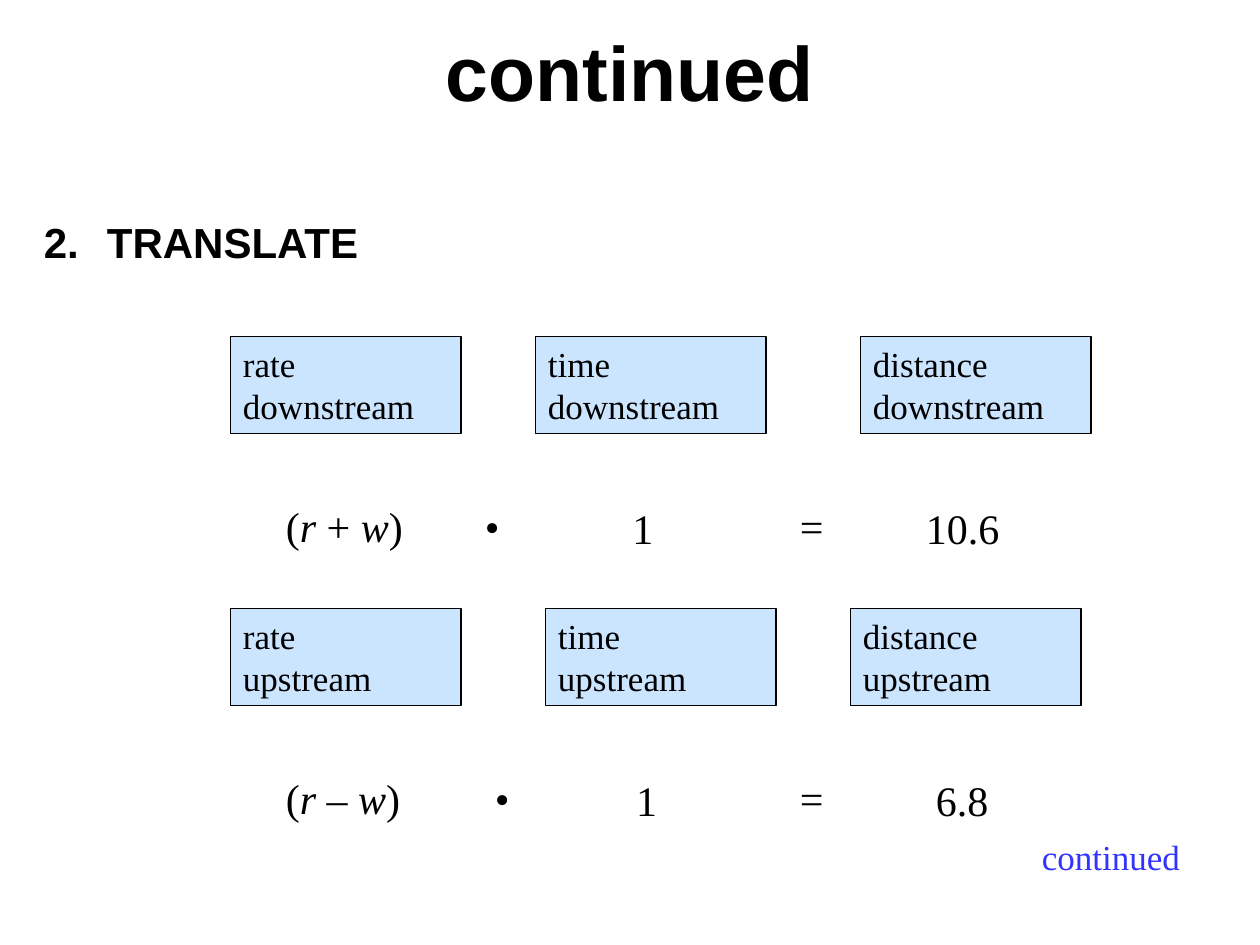
from pptx import Presentation
from pptx.dml.color import RGBColor
from pptx.enum.shapes import MSO_SHAPE
from pptx.enum.text import MSO_ANCHOR, PP_ALIGN
from pptx.util import Inches, Pt

SERIF, SANS = "Times New Roman", "Arial"


def rgb(value):
    return RGBColor.from_string(value)


def style(p, size, font=SERIF, color="000000", bold=False):
    for r in p.runs:
        r.font.size, r.font.name, r.font.bold = Pt(size), font, bold
        r.font.color.rgb = rgb(color)


def place(shape, left, top, width, height):
    shape.left, shape.top = Inches(left), Inches(top)
    shape.width, shape.height = Inches(width), Inches(height)


def add_title(s, text, box):
    title = s.shapes.title
    place(title, *box)
    tf = title.text_frame
    tf.text = text
    tf.vertical_anchor = MSO_ANCHOR.MIDDLE
    tf.paragraphs[0].alignment = PP_ALIGN.CENTER
    style(tf.paragraphs[0], 44, SANS, bold=True)


def add_text(s, parts, box, size=24, wrap=True, **look):
    """Add a one-line text box; parts at odd positions are italic."""
    tf = s.shapes.add_textbox(*map(Inches, box)).text_frame
    tf.word_wrap = wrap
    p = tf.paragraphs[0]
    for i, part in enumerate(parts):
        r = p.add_run()
        r.text = part
        r.font.italic = i % 2 == 1
    style(p, size, **look)
    return p


def add_step(s, number, name, box):
    p = add_text(s, [f"{number}.\t{name}"], box, font=SANS, bold=True)
    pPr = p._p.get_or_add_pPr()
    pPr.set("marL", str(Inches(0.5)))
    pPr.set("indent", str(-Inches(0.5)))


def add_label(s, text, box):
    sp = s.shapes.add_shape(MSO_SHAPE.RECTANGLE, *map(Inches, box))
    sp.shadow.inherit = False
    sp.fill.solid()
    sp.fill.fore_color.rgb = rgb("CCE5FF")
    sp.line.color.rgb = rgb("000000")
    sp.line.width = Pt(0.75)
    tf = sp.text_frame
    tf.word_wrap = True
    tf.vertical_anchor = MSO_ANCHOR.TOP
    p = tf.paragraphs[0]
    p.text = text
    p.alignment = PP_ALIGN.LEFT
    style(p, 20)


def add_equation(s, top, direction, label_lefts, terms):
    """Add a row of labels and, below it, the terms of the equation."""
    for quantity, left in zip(("rate", "time", "distance"), label_lefts):
        add_label(s, f"{quantity}\v{direction}", (left, top, 1.83, 0.77))
    for parts, left, drop, width in terms:
        add_text(s, parts, (left, top + drop, width, 0.5))


def equation_terms(sign, distance, dot_left, time_left, distance_left):
    return [
        (["(", "r", f" {sign} ", "w", ")"], 2.17, 1.25, 1.25),
        (["•"], dot_left, 1.25, 0.3),
        (["1"], time_left, 1.27, 0.42),
        (["="], 6.25, 1.25, 0.42),
        ([distance], distance_left, 1.27, 0.92),
    ]


def main():
    prs = Presentation()
    prs.slide_width, prs.slide_height = Inches(10), Inches(7.5)
    s = prs.slides.add_slide(prs.slide_layouts[5])
    add_title(s, "continued", (0.5, 0.23, 9, 0.67))
    add_step(s, 2, "TRANSLATE", (0.25, 1.67, 2.78, 0.5))
    add_equation(s, 2.67, "downstream", (1.83, 4.25, 6.83),
                 equation_terms("+", "10.6", 3.75, 4.92, 7.25))
    add_equation(s, 4.83, "upstream", (1.83, 4.33, 6.75),
                 equation_terms("–", "6.8", 3.83, 4.95, 7.33))
    add_text(s, ["continued"], (8.17, 6.58, 1.3, 0.43), size=20, wrap=False,
             color="3333FF")
    prs.save("out.pptx")


if __name__ == "__main__":
    main()
